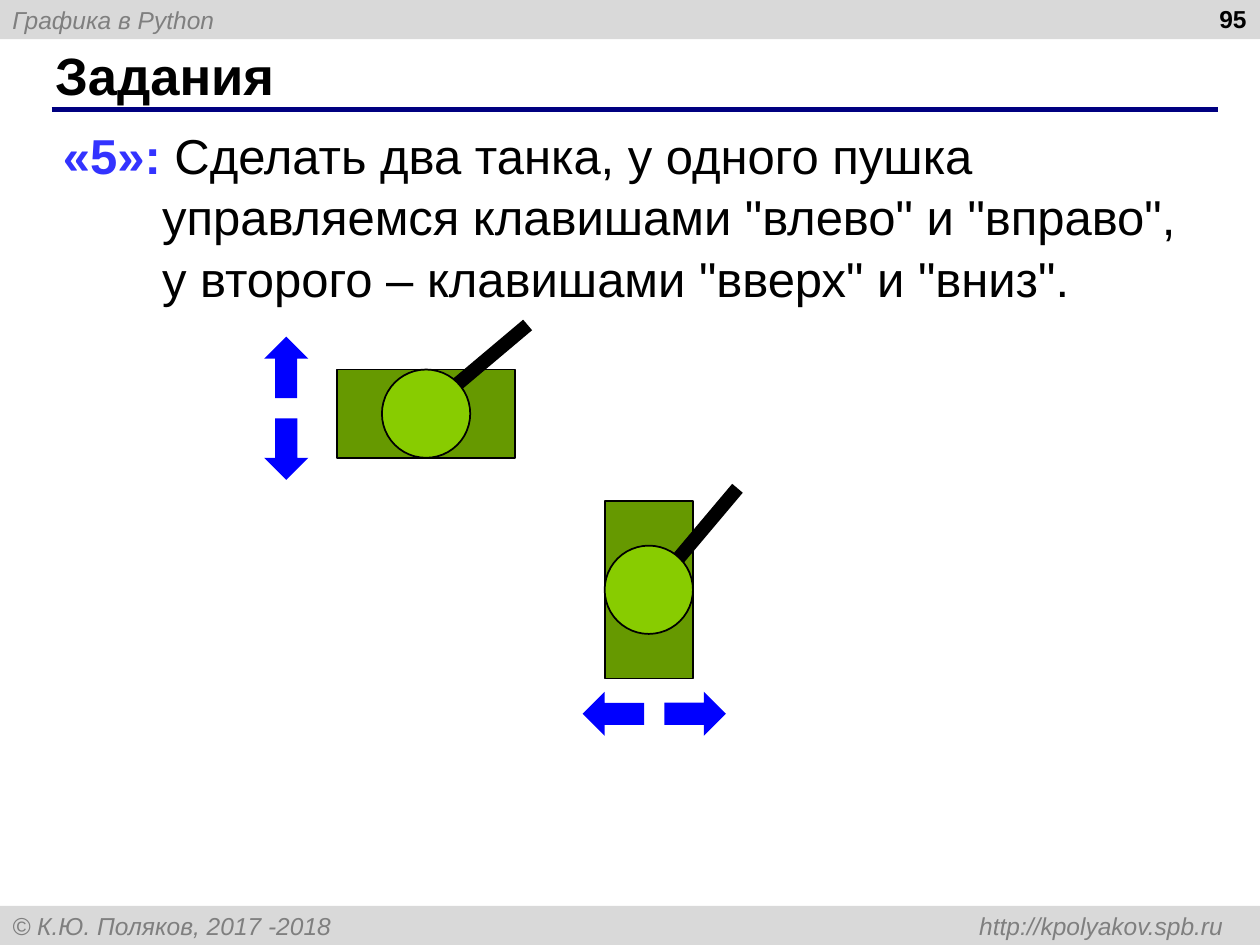
from lxml.etree import SubElement
from pptx import Presentation
from pptx.dml.color import RGBColor
from pptx.enum.shapes import MSO_CONNECTOR, MSO_SHAPE
from pptx.enum.text import MSO_ANCHOR, PP_ALIGN
from pptx.oxml.ns import qn
from pptx.util import Cm, Pt

COLORS = {
    "bar": "D9D9D9", "muted": "7F7F7F", "text": "000000", "rule": "000080",
    "grade": "3333FF", "body": "669900", "turret": "88CC00", "arrow": "0000FF",
}
WIDTH, HEIGHT, BAR_HEIGHT = 25.4, 19.05, 0.79
TANK_LENGTH, TANK_WIDTH = 3.58, 1.78
ARROW_LENGTH, ARROW_WIDTH, ARROW_OFFSET = 1.24, 0.89, 0.825


def color(name):
    return RGBColor.from_string(COLORS[name])


def write(shape, *parts, size=14, align=PP_ALIGN.LEFT, anchor=MSO_ANCHOR.TOP,
          italic=False, hanging=0, line_spacing=None, right_tab=None):
    """Write (text, color name, bold) parts as one paragraph."""
    frame = shape.text_frame
    frame.word_wrap = True
    frame.vertical_anchor = anchor
    paragraph = frame.paragraphs[0]
    paragraph.alignment = align
    if line_spacing:
        paragraph.line_spacing = line_spacing
    properties = paragraph._p.get_or_add_pPr()
    if hanging:
        properties.set("marL", str(Cm(hanging)))
        properties.set("indent", str(-Cm(hanging)))
    if right_tab:
        tabs = SubElement(properties, qn("a:tabLst"))
        SubElement(tabs, qn("a:tab"), pos=str(Cm(right_tab)), algn="r")
    for text, color_name, bold in parts:
        run = paragraph.add_run()
        run.text = text
        run.font.name = "Arial"
        run.font.size = Pt(size)
        run.font.bold = bold
        run.font.italic = italic
        run.font.color.rgb = color(color_name)


def add_text(slide, box, *parts, **text_format):
    write(slide.shapes.add_textbox(*map(Cm, box)), *parts, **text_format)


def add_figure(shapes, kind, box, fill, outlined=False, rotation=0):
    shape = shapes.add_shape(kind, *map(Cm, box))
    shape.shadow.inherit = False
    shape.fill.solid()
    shape.fill.fore_color.rgb = color(fill)
    if outlined:
        shape.line.color.rgb = color("text")
        shape.line.width = Pt(1)
    else:
        shape.line.fill.background()
    shape.rotation = rotation
    return shape


def centered(x, y, width, height):
    return x - width / 2, y - height / 2, width, height


def add_bar(slide, top, text, right_tab=None):
    bar = add_figure(slide.shapes, MSO_SHAPE.RECTANGLE, (0, top, WIDTH, BAR_HEIGHT), "bar")
    write(bar, (text, "muted", False), italic=True,
          anchor=MSO_ANCHOR.MIDDLE, right_tab=right_tab)


def add_heading(slide, left, top, width, height):
    rule = slide.shapes.add_connector(
        MSO_CONNECTOR.STRAIGHT, Cm(left + 0.18), Cm(top + 1.37),
        Cm(left + width + 0.43), Cm(top + 1.37))
    rule.line.color.rgb = color("rule")
    rule.line.width = Pt(3)
    SubElement(rule._element.spPr, qn("a:effectLst"))
    add_text(slide, (left, top, width, height), ("Задания", "text", True),
             size=30, anchor=MSO_ANCHOR.MIDDLE)


def add_tank(slide, x, y, width, height, barrel_offset, barrel_angle):
    """Tank centred on (x, y), with its gun aimed up and to the right."""
    shapes = slide.shapes.add_group_shape().shapes
    dx, dy = barrel_offset
    add_figure(shapes, MSO_SHAPE.RECTANGLE, centered(x, y, width, height), "body", outlined=True)
    add_figure(shapes, MSO_SHAPE.RECTANGLE, centered(x + dx, y + dy, 0.28, 2.29),
               "text", rotation=barrel_angle)
    add_figure(shapes, MSO_SHAPE.OVAL, centered(x, y, TANK_WIDTH, TANK_WIDTH),
               "turret", outlined=True)


def add_arrow_pair(slide, x, y, vertical=False):
    """Two opposite arrows around the centre (x, y)."""
    shapes = slide.shapes.add_group_shape().shapes
    for sign, angle in ((1, 0), (-1, 180)):
        shift = sign * ARROW_OFFSET
        center = (x, y + shift) if vertical else (x + shift, y)
        add_figure(shapes, MSO_SHAPE.RIGHT_ARROW,
                   centered(*center, ARROW_LENGTH, ARROW_WIDTH), "arrow",
                   rotation=angle + 90 * vertical)


def main():
    presentation = Presentation()
    presentation.slide_width, presentation.slide_height = Cm(WIDTH), Cm(HEIGHT)
    slide = presentation.slides.add_slide(presentation.slide_layouts[6])

    # Header and footer
    add_bar(slide, 0, "Графика в Python")
    add_bar(slide, HEIGHT - BAR_HEIGHT,
            "© К.Ю. Поляков, 2017 -2018\thttp://kpolyakov.spb.ru", right_tab=24.41)
    add_heading(slide, 0.86, 0.84, 23.27, 1.32)
    add_text(slide, (19.46, -0.05, 5.92, 1.32), ("95", "text", True), align=PP_ALIGN.RIGHT)

    # Task
    add_text(slide, (1.02, 2.34, 23.37, 3.81),
             ("«5»: ", "grade", True),
             ('Сделать два танка, у одного пушка управляемся клавишами "влево" и "вправо", '
              'у второго – клавишами "вверх" и "вниз".', "text", False),
             size=28, hanging=2, line_spacing=1.05)

    # Tanks and their control keys
    add_tank(slide, 13.08, 11.89, TANK_WIDTH, TANK_LENGTH, (1.05, -1.17), 40.1)
    add_tank(slide, 8.59, 8.34, TANK_LENGTH, TANK_WIDTH, (1.17, -1.05), 49.9)
    add_arrow_pair(slide, 13.19, 14.39)
    add_arrow_pair(slide, 5.77, 8.23, vertical=True)

    presentation.save("out.pptx")


if __name__ == "__main__":
    main()
